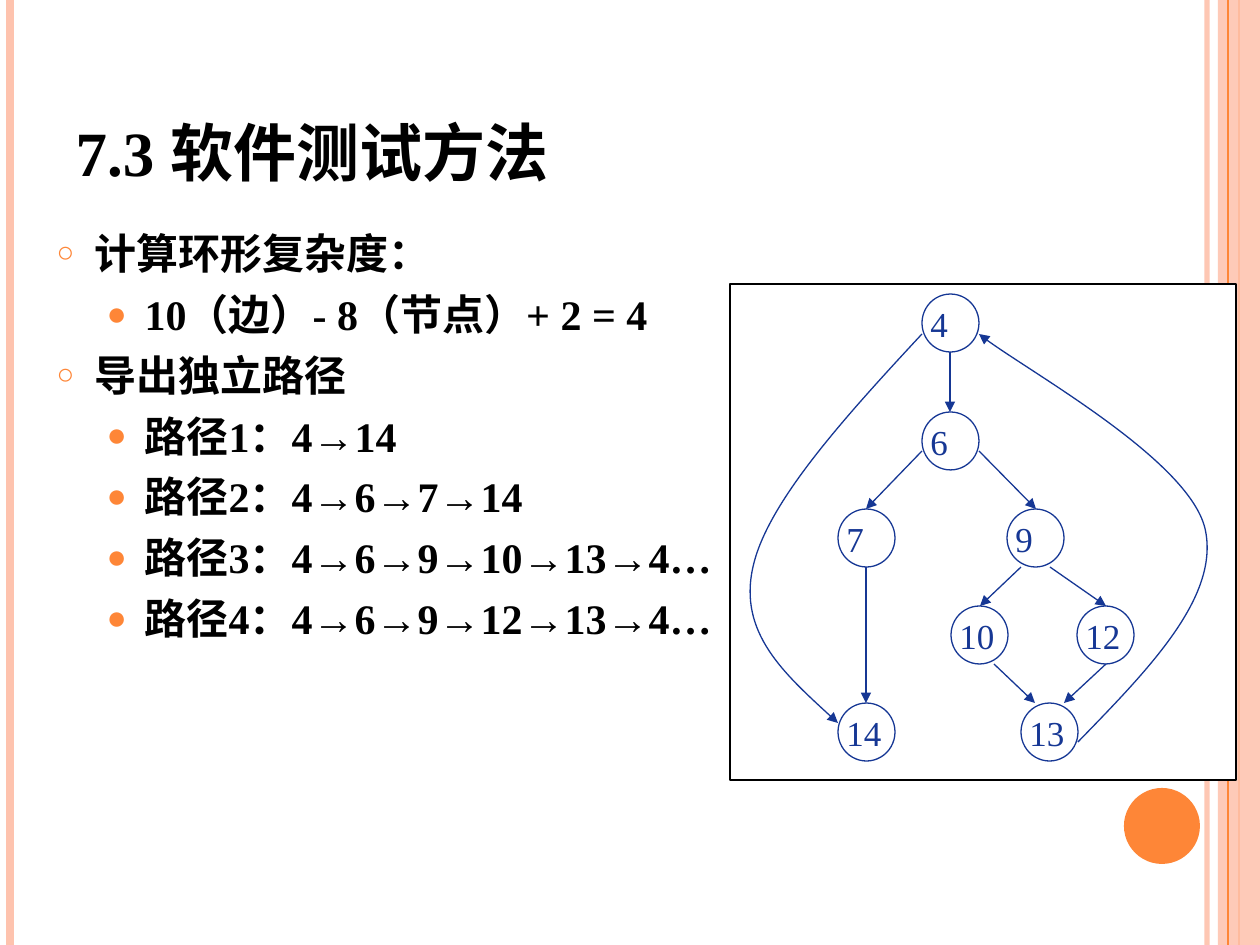
from lxml import etree
from pptx import Presentation
from pptx import util as u
from pptx.dml.color import RGBColor
from pptx.enum import shapes, text
from pptx.oxml import ns

PX = 914400 / 126
FONT = "Times New Roman"
BLACK, WHITE, ORANGE, PEACH, NAVY = "000000", "FFFFFF", "FE8637", "FEC3AE", "163794"

NODE_W, NODE_H = 57, 58
NODES = {
    "4": (922, 294), "6": (922, 412), "7": (838, 509), "9": (1007, 509),
    "10": (951, 606), "12": (1077, 606), "13": (1021, 703), "14": (838, 703),
}
TOP, BOTTOM = (0.5, 0), (0.5, 1)
EDGES = [
    ("4", BOTTOM, "6", TOP),
    ("6", (0, 0.67), "7", TOP),
    ("6", (1, 0.67), "9", TOP),
    ("9", (0.25, 1), "10", TOP),
    ("9", (0.75, 1), "12", TOP),
    ("10", (0.75, 1), "13", (0.25, 0)),
    ("12", BOTTOM, "13", (0.75, 0)),
    ("7", BOTTOM, "14", TOP),
]
CURVES = [
    [(922, 334), (844, 418), (767, 503), (753, 567), (738, 633), (789, 678), (838, 723)],
    [(1078, 742), (1149, 669), (1221, 596), (1205, 528), (1188, 460), (1017, 365), (979, 334)],
]
OUTLINE = [
    (0, "计算环形复杂度："),
    (1, "10（边）- 8（节点）+ 2 = 4"),
    (0, "导出独立路径"),
    (1, "路径1：4→14"),
    (1, "路径2：4→6→7→14"),
    (1, "路径3：4→6→9→10→13→4…"),
    (1, "路径4：4→6→9→12→13→4…"),
]
BULLETS = [("○", 70, 38), ("●", 80, 88)]


def px(n):
    """Convert pixels to EMU."""
    return u.Emu(round(n * PX))


def paint(fmt, color, opacity=100):
    """Give a fill or line fill a solid colour and opacity in percent."""
    fmt.solid()
    fmt.fore_color.rgb = RGBColor.from_string(color)
    if opacity < 100:
        clr = fmt._xPr.find(".//" + ns.qn("a:srgbClr"))
        etree.SubElement(clr, ns.qn("a:alpha"), val=str(opacity * 1000))


def stroke(sp, color, width, opacity=100, arrow=False):
    """Set the outline of a shape or connector."""
    sp.line.width = u.Pt(width)
    paint(sp.line.fill, color, opacity)
    if arrow:
        etree.SubElement(sp.line._get_or_add_ln(), ns.qn("a:tailEnd"), type="triangle")


def style_runs(p, size, color, bold=False):
    """Format every run of a paragraph."""
    for r in p.runs:
        r.font.name, r.font.size, r.font.bold = FONT, u.Pt(size), bold
        r.font.color.rgb = RGBColor.from_string(color)


def add_line(parent, start, end, color, width, **options):
    """Draw a straight line between two points."""
    c = parent.add_connector(shapes.MSO_CONNECTOR.STRAIGHT, *map(px, start + end))
    stroke(c, color, width, **options)
    etree.SubElement(c._element.spPr, ns.qn("a:effectLst"))


def add_box(parent, kind, box, fill=None, opacity=100, line=None):
    """Draw a preset shape with optional fill and outline."""
    sp = parent.add_shape(kind, *map(px, box))
    sp.shadow.inherit = False
    if fill:
        paint(sp.fill, fill, opacity)
    else:
        sp.fill.background()
    if line:
        stroke(sp, line, 0.75)
    else:
        sp.line.fill.background()
    return sp


def add_node(parent, label, corner):
    """Draw a numbered node of the flow graph."""
    sp = add_box(parent, shapes.MSO_SHAPE.OVAL, (*corner, NODE_W, NODE_H), line=NAVY)
    tf = sp.text_frame
    tf.margin_left = tf.margin_right = tf.margin_top = tf.margin_bottom = 0
    tf.vertical_anchor = text.MSO_ANCHOR.TOP
    tf.text = label
    p = tf.paragraphs[0]
    p.alignment = text.PP_ALIGN.LEFT
    style_runs(p, 20, NAVY)


def anchor(label, at):
    """Return the point at a fraction of a node's bounding box."""
    x, y = NODES[label]
    return round(x + at[0] * NODE_W), round(y + at[1] * NODE_H)


def add_curve(parent, points):
    """Draw an arrowed Bezier curve from a start and triples of control points."""
    builder = parent.build_freeform(*points[0], scale=PX)
    builder.add_line_segments(points[1:], close=False)
    sp = builder.convert_to_shape()
    segments = sp._element.findall(".//" + ns.qn("a:lnTo"))
    for i in range(0, len(segments), 3):
        bezier = etree.Element(ns.qn("a:cubicBezTo"))
        segments[i].addprevious(bezier)
        for segment in segments[i:i + 3]:
            bezier.append(segment[0])
            segment.getparent().remove(segment)
    sp.shadow.inherit = False
    sp.fill.background()
    stroke(sp, NAVY, 0.75, arrow=True)


def add_bullet(p, level):
    """Set the indent and coloured bullet of an outline level."""
    char, size, indent = BULLETS[level]
    pPr = p._p.get_or_add_pPr()
    pPr.set("marL", str(px(indent)))
    pPr.set("indent", str(-px(38)))
    clr = etree.SubElement(pPr, ns.qn("a:buClr"))
    etree.SubElement(clr, ns.qn("a:srgbClr"), val=ORANGE)
    etree.SubElement(pPr, ns.qn("a:buSzPct"), val=str(size * 1000))
    etree.SubElement(pPr, ns.qn("a:buChar"), char=char)


def place(sp, box, anchored):
    """Move a placeholder and return its text frame."""
    sp.left, sp.top, sp.width, sp.height = map(px, box)
    tf = sp.text_frame
    tf.word_wrap, tf.auto_size = True, text.MSO_AUTO_SIZE.NONE
    tf.vertical_anchor = anchored
    return tf


def add_decoration(parent):
    """Draw the side bands and the orange dot."""
    for x, color, width, opacity in [(1207, PEACH, 3, 93), (10, PEACH, 4.5, 100), (1239, ORANGE, 1.5, 100)]:
        add_line(parent, (x, 0), (x, 945), color, width, opacity=opacity)
    add_box(parent, shapes.MSO_SHAPE.RECTANGLE, (1218, 0, 42, 945), PEACH, 87)
    add_line(parent, (1228, 0), (1228, 945), ORANGE, 0.75)
    add_box(parent, shapes.MSO_SHAPE.OVAL, (1124, 788, 76, 76), ORANGE)


def add_title(sp):
    """Fill the title placeholder."""
    tf = place(sp, (63, 38, 1029, 157), text.MSO_ANCHOR.BOTTOM)
    tf.text = "7.3 软件测试方法"
    p = tf.paragraphs[0]
    p.alignment = text.PP_ALIGN.LEFT
    style_runs(p, 36, BLACK, True)


def add_outline(sp):
    """Fill the body placeholder with the two-level list."""
    tf = place(sp, (44, 221, 684, 672), text.MSO_ANCHOR.TOP)
    for i, (level, line) in enumerate(OUTLINE):
        p = tf.add_paragraph() if i else tf.paragraphs[0]
        p.text, p.level = line, level
        add_bullet(p, level)
        p.space_before = u.Pt(6 if i else 0)
        style_runs(p, 24, BLACK, True)


def add_flow_graph(parent):
    """Draw the framed flow graph as one group."""
    graph = parent.add_group_shape().shapes
    add_box(graph, shapes.MSO_SHAPE.RECTANGLE, (730, 284, 506, 496), WHITE, line=BLACK)
    for label, corner in NODES.items():
        add_node(graph, label, corner)
    for source, leave, target, enter in EDGES:
        add_line(graph, anchor(source, leave), anchor(target, enter), NAVY, 0.75, arrow=True)
    for points in CURVES:
        add_curve(graph, points)


def main():
    """Build the slide and save it."""
    prs = Presentation()
    prs.slide_width, prs.slide_height = px(1260), px(945)
    s = prs.slides.add_slide(prs.slide_layouts[1])
    add_decoration(s.shapes)
    add_title(s.shapes.title)
    add_outline(s.placeholders[1])
    add_flow_graph(s.shapes)
    prs.save("out.pptx")


if __name__ == "__main__":
    main()
